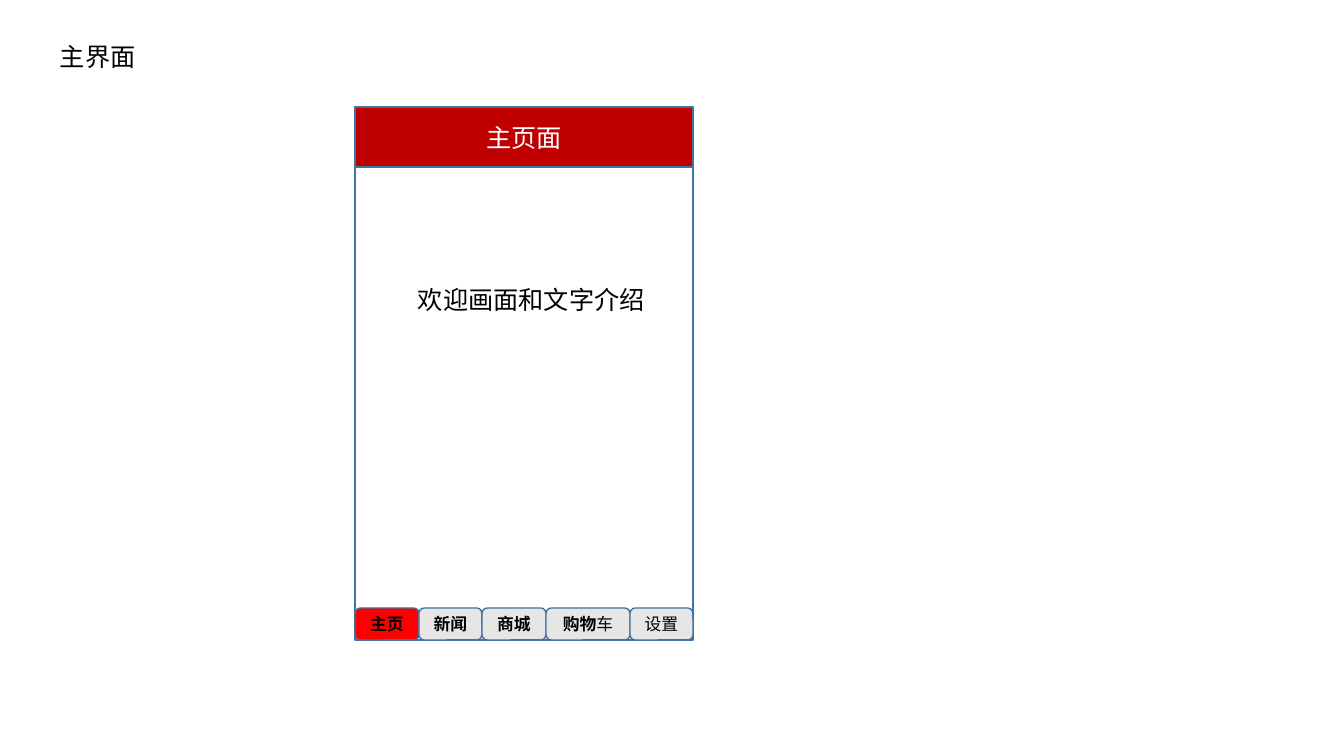
from lxml import etree
from pptx import Presentation
from pptx import util as u
from pptx.dml.color import RGBColor
from pptx.enum import shapes, text
from pptx.oxml.ns import qn

FONT = "Noto Sans CJK SC"
BLACK = RGBColor(0x00, 0x00, 0x00)
WHITE = RGBColor(0xFF, 0xFF, 0xFF)
BLUE = RGBColor(0x43, 0x73, 0x9E)
CRIMSON = RGBColor(0xC0, 0x00, 0x00)
RED = RGBColor(0xFF, 0x00, 0x00)
GREY = RGBColor(0xE7, 0xE6, 0xE6)

SLIDE_W, SLIDE_H = 1344, 756
PX = u.Inches(1) / 100.8

TITLE = "主界面"
HEADER = "主页面"
WELCOME = "欢迎画面和文字介绍"
# Each tab: width, fill, runs of (wording, bold)
TABS = [
    (64, RED, [("主页", True)]),
    (63, GREY, [("新闻", True)]),
    (64, GREY, [("商城", True)]),
    (84, GREY, [("购物", True), ("车", False)]),
    (63, GREY, [("设置", False)]),
]

PHONE_X, PHONE_Y, PHONE_H = 355, 107, 533
PHONE_W = sum(width for width, _, _ in TABS)
HEADER_H, TAB_H = 60, 32
LABEL_W, LABEL_H = 401, 40


def emu(*pixels):
    """Turn pixel lengths into EMU."""
    return [round(n * PX) for n in pixels]


def write(tf, runs, size, color):
    """Fill the first paragraph with (wording, bold) runs."""
    p = tf.paragraphs[0]
    for wording, bold in runs:
        r = p.add_run()
        r.text = wording
        r.font.name = FONT
        r.font.size = u.Pt(size)
        r.font.bold = bold
        r.font.color.rgb = color
        ea = etree.SubElement(r.font._element, qn("a:ea"))
        ea.set("typeface", FONT)
    return p


def add_label(s, x, y, wording):
    """Add a left-aligned text box."""
    tf = s.shapes.add_textbox(*emu(x, y, LABEL_W, LABEL_H)).text_frame
    tf.word_wrap = True
    tf.auto_size = text.MSO_AUTO_SIZE.SHAPE_TO_FIT_TEXT
    write(tf, [(wording, False)], 18, BLACK)


def add_box(s, kind, box, fill, runs=(), size=12, color=BLACK):
    """Add an outlined shape with centred text."""
    sp = s.shapes.add_shape(kind, *emu(*box))
    sp.shadow.inherit = False
    sp.fill.solid()
    sp.fill.fore_color.rgb = fill
    sp.line.color.rgb = BLUE
    sp.line.width = u.Pt(1)
    tf = sp.text_frame
    tf.vertical_anchor = text.MSO_ANCHOR.MIDDLE
    write(tf, runs, size, color).alignment = text.PP_ALIGN.CENTER


prs = Presentation()
prs.slide_width, prs.slide_height = emu(SLIDE_W, SLIDE_H)
s = prs.slides.add_slide(prs.slide_layouts[6])
RECT = shapes.MSO_SHAPE.RECTANGLE
ROUNDED = shapes.MSO_SHAPE.ROUNDED_RECTANGLE

add_label(s, 50, 36, TITLE)
add_box(s, RECT, (PHONE_X, PHONE_Y, PHONE_W, PHONE_H), WHITE)

x = PHONE_X
for width, fill, runs in TABS:
    add_box(s, ROUNDED, (x, PHONE_Y + PHONE_H - TAB_H, width, TAB_H), fill, runs)
    x += width

add_label(s, 408, 279, WELCOME)
add_box(s, RECT, (PHONE_X, PHONE_Y, PHONE_W, HEADER_H), CRIMSON,
        [(HEADER, False)], 18, WHITE)

prs.save("out.pptx")
